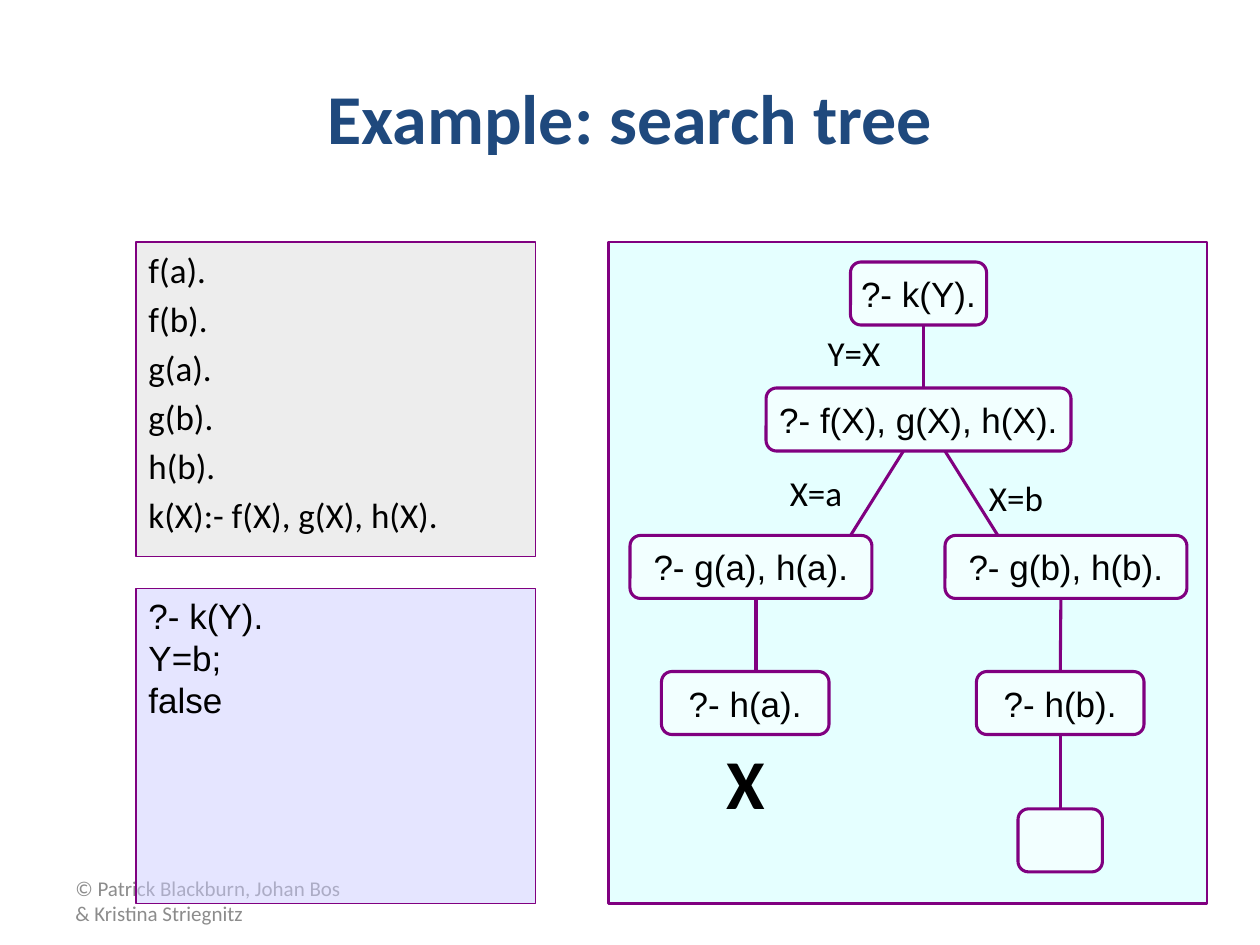
import pptx
import pptx.util
import pptx.dml.color
import pptx.enum.shapes
import pptx.enum.text
import pptx.oxml.ns
import lxml.etree
from dataclasses import dataclass

Inches = pptx.util.Inches
Pt = pptx.util.Pt
Shapes = pptx.enum.shapes.MSO_SHAPE
Anchor = pptx.enum.text.MSO_ANCHOR
Align = pptx.enum.text.PP_ALIGN
qn = pptx.oxml.ns.qn


@dataclass(frozen=True)
class Theme:
    heading_font: str = "Calibri"
    code_font: str = "Arial"
    ink: str = "000000"
    title: str = "1F497D"
    footer: str = "8C8C8C"
    outline: str = "800080"
    facts: str = "DDDDDD"
    query: str = "CCCCFF"
    tree: str = "CCFFFF"
    node: str = "FFFFFF"
    large: int = 40
    body: int = 20
    small: int = 12
    thin: float = 0.75
    frame: float = 1.5
    branch: float = 1.75
    opacity: int = 50


THEME = Theme()
NODE_HEIGHT = 0.5


def color(value):
    return pptx.dml.color.RGBColor.from_string(value)


def apply(target, formats):
    for name, value in formats.items():
        setattr(target, name, value)


def write(shape, lines, font, size=THEME.body, ink=THEME.ink, bold=False,
          frame=None, layout=None, hanging=0):
    text_frame = shape.text_frame
    apply(text_frame, {"word_wrap": True, "vertical_anchor": Anchor.TOP, **(frame or {})})
    for index, line in enumerate(lines):
        paragraph = text_frame.paragraphs[0] if index == 0 else text_frame.add_paragraph()
        apply(paragraph, {"alignment": Align.LEFT, **(layout or {})})
        if hanging:
            properties = paragraph._p.get_or_add_pPr()
            properties.set("marL", str(Inches(hanging)))
            properties.set("indent", str(-Inches(hanging)))
        run = paragraph.add_run()
        run.text = line
        apply(run.font, {"name": font, "size": Pt(size), "bold": bold})
        run.font.color.rgb = color(ink)


def add_text(slide, box, line, **style):
    shape = slide.shapes.add_textbox(*map(Inches, box))
    write(shape, [line], THEME.heading_font, **style)


def add_panel(slide, box, fill, width, kind=Shapes.RECTANGLE):
    shape = slide.shapes.add_shape(kind, *map(Inches, box))
    shape.shadow.inherit = False
    shape.fill.solid()
    shape.fill.fore_color.rgb = color(fill)
    fill_color = shape.fill._xPr.find(qn("a:solidFill"))[0]
    lxml.etree.SubElement(fill_color, qn("a:alpha")).set("val", str(THEME.opacity * 1000))
    shape.line.color.rgb = color(THEME.outline)
    shape.line.width = Pt(width)
    return shape


def add_code(slide, box, fill, lines, font, gap=0):
    panel = add_panel(slide, box, fill, THEME.thin)
    write(panel, lines, font, layout={"space_before": Pt(gap)}, hanging=0.38)


def add_node(slide, box, goal):
    node = add_panel(slide, box, THEME.node, THEME.branch, Shapes.FLOWCHART_ALTERNATE_PROCESS)
    if goal:
        write(node, [goal], THEME.code_font, layout={"alignment": Align.CENTER},
              frame={"word_wrap": False, "vertical_anchor": Anchor.MIDDLE})
    return node


def add_branch(slide, start, end, parent=None, child=None):
    branch = slide.shapes.add_connector(
        pptx.enum.shapes.MSO_CONNECTOR.STRAIGHT, *map(Inches, start + end))
    branch.line.color.rgb = color(THEME.outline)
    branch.line.width = Pt(THEME.branch)
    lxml.etree.SubElement(branch._element.spPr, qn("a:effectLst"))
    if parent:
        branch.begin_connect(parent, 2)
    if child:
        branch.end_connect(child, 0)


def add_search_tree(slide, box):
    left, top, width, height = box
    add_panel(slide, box, THEME.tree, THEME.frame)
    rows = [top + offset for offset in (0.16, 1.16, 2.33, 3.41, 4.5)]
    goals = {
        "root": (1.92, 0, 1.08, "?- k(Y)."),
        "rule": (1.25, 1, 2.42, "?- f(X), g(X), h(X)."),
        "left": (0.17, 2, 1.92, "?- g(a), h(a)."),
        "right": (2.67, 2, 1.92, "?- g(b), h(b)."),
        "failure": (0.42, 3, 1.33, "?- h(a)."),
        "last": (2.92, 3, 1.33, "?- h(b)."),
        "success": (3.25, 4, 0.67, ""),
    }
    nodes = {name: add_node(slide, (left + x, rows[row], node_width, NODE_HEIGHT), goal)
             for name, (x, row, node_width, goal) in goals.items()}
    branches = [
        (2.5, 2.5, 0, None, None),
        (2.34, 1.92, 1, None, None),
        (2.67, 3.09, 1, None, None),
        (1.17, 1.17, 2, None, None),
        (3.59, 3.59, 2, None, "last"),
        (3.59, 3.59, 3, "last", "success"),
    ]
    for start, end, row, parent, child in branches:
        add_branch(slide, (left + start, rows[row] + NODE_HEIGHT),
                   (left + end, rows[row + 1]), nodes.get(parent), nodes.get(child))
    for x, y, binding in [(1.64, 0.66, "Y=X"), (1.34, 1.77, "X=a"), (2.92, 1.81, "X=b")]:
        add_text(slide, (left + x, top + y, 0.7, 0.43), binding, frame={"word_wrap": False})
    add_text(slide, (left + 0.84, top + 3.9, 0.51, 0.77), "X", size=THEME.large,
             bold=True, frame={"word_wrap": False})


def main():
    presentation = pptx.Presentation()
    presentation.slide_width = Inches(10)
    presentation.slide_height = Inches(7.5)
    slide = presentation.slides.add_slide(presentation.slide_layouts[6])
    middle = {"vertical_anchor": Anchor.MIDDLE}
    add_text(slide, (0.5, 6.95, 2.33, 0.4),
             "© Patrick Blackburn, Johan Bos & Kristina Striegnitz",
             size=THEME.small, ink=THEME.footer, frame=middle)
    add_text(slide, (0.5, 0.3, 9, 1.25), "Example: search tree", size=THEME.large,
             ink=THEME.title, bold=True, frame=middle, layout={"alignment": Align.CENTER})
    add_code(slide, (1.08, 1.92, 3.17, 2.5), THEME.facts,
             ["f(a).", "f(b).", "g(a).", "g(b).", "h(b).", "k(X):- f(X), g(X), h(X)."],
             THEME.heading_font, gap=4)
    add_code(slide, (1.08, 4.67, 3.17, 2.5), THEME.query,
             ["?- k(Y).", "Y=b;", "false"], THEME.code_font)
    add_search_tree(slide, (4.83, 1.92, 4.75, 5.25))
    presentation.save("out.pptx")


if __name__ == "__main__":
    main()
